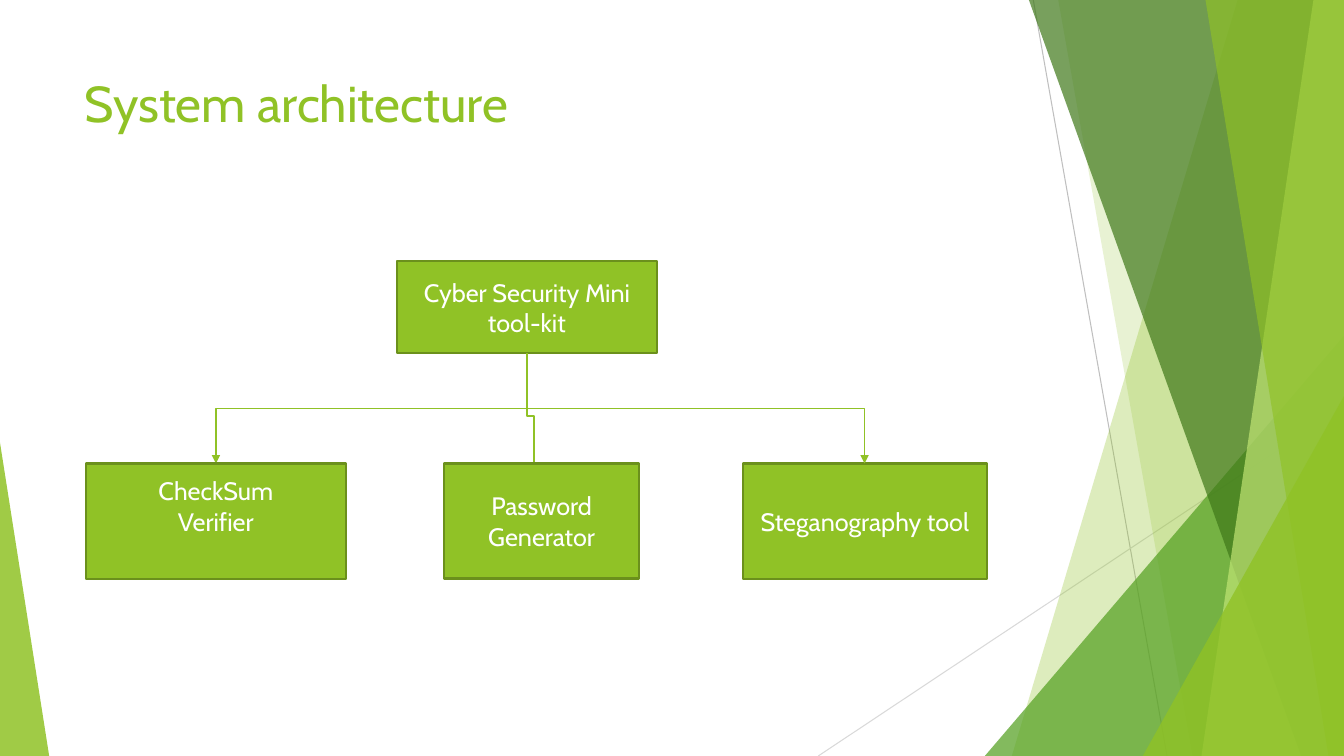
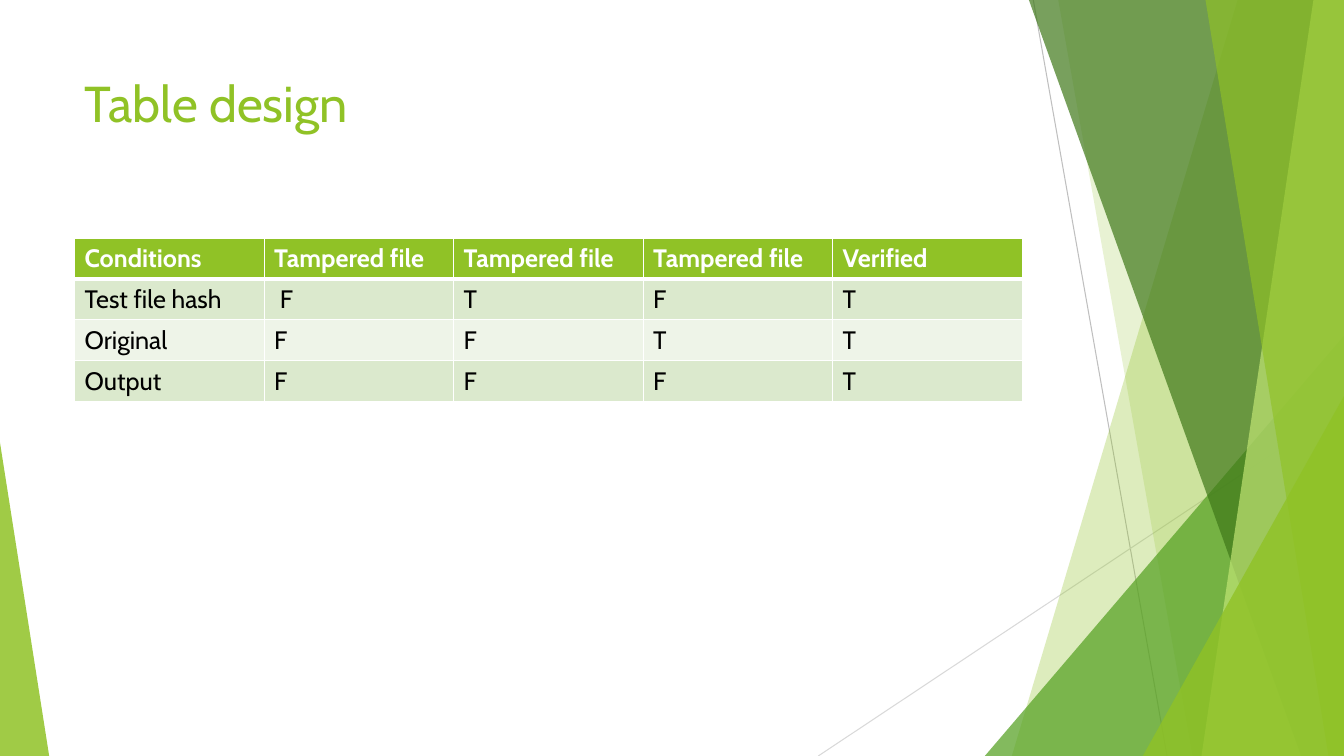
from pptx import Presentation
from pptx.dml.color import RGBColor
from pptx.enum.shapes import MSO_CONNECTOR, MSO_SHAPE
from pptx.enum.text import MSO_ANCHOR, PP_ALIGN
from pptx.oxml.ns import qn
from pptx.util import Cm, Pt
from lxml.etree import SubElement

FONT = "Cabin"
LIME = RGBColor(0x90, 0xC2, 0x26)
OLIVE = RGBColor(0x6B, 0x90, 0x1C)
GREEN = RGBColor(0x54, 0xA0, 0x21)
FOREST = RGBColor(0x3F, 0x78, 0x19)
PALE = RGBColor(0xC0, 0xE4, 0x74)
SILVER = RGBColor(0xBF, 0xBF, 0xBF)
MIST = RGBColor(0xD9, 0xD9, 0xD9)
WHITE = RGBColor(0xFF, 0xFF, 0xFF)
BLACK = RGBColor(0, 0, 0)
BANDS = RGBColor(0xEE, 0xF4, 0xE8), RGBColor(0xDB, 0xE9, 0xCD)

WIDE, HIGH = 33.87, 19.05
LEFT, SPAN = 1.88, 23.88
CHILD_TOP, CHILD_H = 11.68, 2.9

ROWS = [
    ["Conditions", "Tampered file", "Tampered file", "Tampered file", "Verified"],
    ["Test file hash", " F", "T", "F", "T"],
    ["Original", "F", "F", "T", "T"],
    ["Output", "F", "F", "F", "T"],
]


def style(para, size, color, bold=False):
    font = para.font
    font.name, font.size, font.bold = FONT, Pt(size), bold
    font.color.rgb = color


def tint(shape, color, alpha):
    """Fill a shape with a see-through colour; alpha is in percent."""
    shape.shadow.inherit = False
    shape.line.fill.background()
    shape.fill.solid()
    shape.fill.fore_color.rgb = color
    clr = shape._element.spPr.find(".//" + qn("a:srgbClr"))
    SubElement(clr, qn("a:alpha"), val=str(alpha * 1000))


def add_band(group, top_x, base_x, color, alpha):
    """Draw a band from a slanted left edge to the right edge of the slide."""
    pen = group.shapes.build_freeform(Cm(top_x), 0)
    pen.add_line_segments([(Cm(WIDE), 0), (Cm(WIDE), Cm(HIGH)), (Cm(base_x), Cm(HIGH))])
    tint(pen.convert_to_shape(), color, alpha)


def add_wedge(group, left, right, top, peak, color, alpha):
    """Draw a triangle on the bottom edge; peak is 0 for left, 1 for right."""
    wedge = group.shapes.add_shape(MSO_SHAPE.ISOSCELES_TRIANGLE, Cm(left), Cm(top),
                                   Cm(right - left), Cm(HIGH - top))
    wedge.adjustments[0] = peak
    tint(wedge, color, alpha)


def add_line(shapes, kind, start, end, color, width, arrow=False):
    line = shapes.add_connector(kind, *map(Cm, start + end))
    line.line.color.rgb = color
    line.line.width = Pt(width)
    props = line._element.spPr
    if arrow:
        SubElement(props.find(qn("a:ln")), qn("a:tailEnd"), type="triangle")
    SubElement(props, qn("a:effectLst"))
    return line


def add_link(slide, start, end):
    """Draw an elbow arrow that leaves downwards, as a turned elbow."""
    (x1, y1), (x2, y2) = start, end
    mid_x, mid_y = (x1 + x2) / 2, (y1 + y2) / 2
    half_w, half_h = (y2 - y1) / 2, abs(x2 - x1) / 2
    turn = 90
    if x2 > x1:
        half_w, turn = -half_w, 270
    link = add_line(slide.shapes, MSO_CONNECTOR.ELBOW,
                    (mid_x - half_w, mid_y - half_h), (mid_x + half_w, mid_y + half_h),
                    LIME, 1, arrow=True)
    link._element.spPr.xfrm.set("rot", str(turn * 60000))


def add_box(slide, left, top, width, height, lines, kind=MSO_SHAPE.FLOWCHART_PROCESS):
    box = slide.shapes.add_shape(kind, Cm(left), Cm(top), Cm(width), Cm(height))
    box.shadow.inherit = False
    box.fill.solid()
    box.fill.fore_color.rgb = LIME
    box.line.color.rgb = OLIVE
    box.line.width = Pt(1.5)
    frame = box.text_frame
    frame.word_wrap = True
    frame.vertical_anchor = MSO_ANCHOR.MIDDLE
    frame.text = "\n".join(lines)
    for para in frame.paragraphs:
        para.alignment = PP_ALIGN.CENTER
        style(para, 18, WHITE)
    return box


def add_decor(slide):
    group = slide.shapes.add_group_shape()
    straight = MSO_CONNECTOR.STRAIGHT
    add_line(group.shapes, straight, (26.04, 0), (29.41, HIGH), SILVER, 0.75)
    add_line(group.shapes, straight, (WIDE, 10.24), (20.62, HIGH), MIST, 0.75)
    add_band(group, 31.19, 25.5, LIME, 30)
    add_band(group, 26.67, 30.05, LIME, 20)
    add_wedge(group, 24.82, WIDE, 8.46, 1, GREEN, 72)
    add_band(group, 25.93, 32.79, FOREST, 70)
    add_band(group, 33.1, 30.28, PALE, 70)
    add_band(group, 30.38, 33.48, LIME, 65)
    add_wedge(group, 28.8, WIDE, 9.98, 1, LIME, 80)
    add_wedge(group, 0, 1.24, 11.15, 0, LIME, 85)


def add_page(deck, title):
    """Add a slide with the shared backdrop and title."""
    slide = deck.slides.add_slide(deck.slide_layouts[6])
    add_decor(slide)
    frame = slide.shapes.add_textbox(Cm(LEFT), Cm(1.7), Cm(SPAN), Cm(3.66)).text_frame
    frame.word_wrap = True
    frame.text = title
    style(frame.paragraphs[0], 36, LIME)
    return slide


def add_edges(cell, row):
    """Rule a cell in white, with a thick line under the header."""
    props = cell._tc.get_or_add_tcPr()
    widths = {"L": 1, "R": 1, "T": 3 if row == 1 else 1, "B": 3 if row == 0 else 1}
    for side, width in widths.items():
        edge = SubElement(props, qn("a:ln" + side), w=str(Pt(width)))
        fill = SubElement(edge, qn("a:solidFill"))
        SubElement(fill, qn("a:srgbClr"), val=str(WHITE))


def add_grid(slide, rows):
    count = len(rows[0])
    grid = slide.shapes.add_table(len(rows), count, Cm(LEFT), Cm(6), Cm(SPAN),
                                  Cm(1.03 * len(rows))).table
    for r, row in enumerate(rows):
        head = r == 0
        for c, text in enumerate(row):
            cell = grid.cell(r, c)
            cell.text = text
            style(cell.text_frame.paragraphs[0], 18, WHITE if head else BLACK, head)
            add_edges(cell, r)
            cell.fill.solid()
            cell.fill.fore_color.rgb = LIME if head else BANDS[r % 2]


def draw_tree(slide):
    root_x, root_y = 13.28, 8.9
    add_box(slide, 10, 6.58, 6.56, 2.32, ["Cyber Security Mini tool-kit"])
    add_link(slide, (root_x, root_y), (5.44, CHILD_TOP))
    check = add_box(slide, 2.16, CHILD_TOP, 6.56, CHILD_H, ["CheckSum", "Verifier"])
    check.text_frame.margin_bottom = Cm(0.89)
    add_box(slide, 18.72, CHILD_TOP, 6.15, CHILD_H, ["Steganography tool"])
    add_link(slide, (root_x, root_y), (21.79, CHILD_TOP))
    add_link(slide, (root_x, root_y), (13.46, 12.06))
    add_box(slide, 11.2, CHILD_TOP, 4.9, CHILD_H, ["Password Generator"],
            MSO_SHAPE.RECTANGLE)


def main():
    deck = Presentation()
    deck.slide_width, deck.slide_height = Cm(WIDE), Cm(HIGH)
    draw_tree(add_page(deck, "System architecture"))
    add_grid(add_page(deck, "Table design"), ROWS)
    deck.save("out.pptx")


if __name__ == "__main__":
    main()
